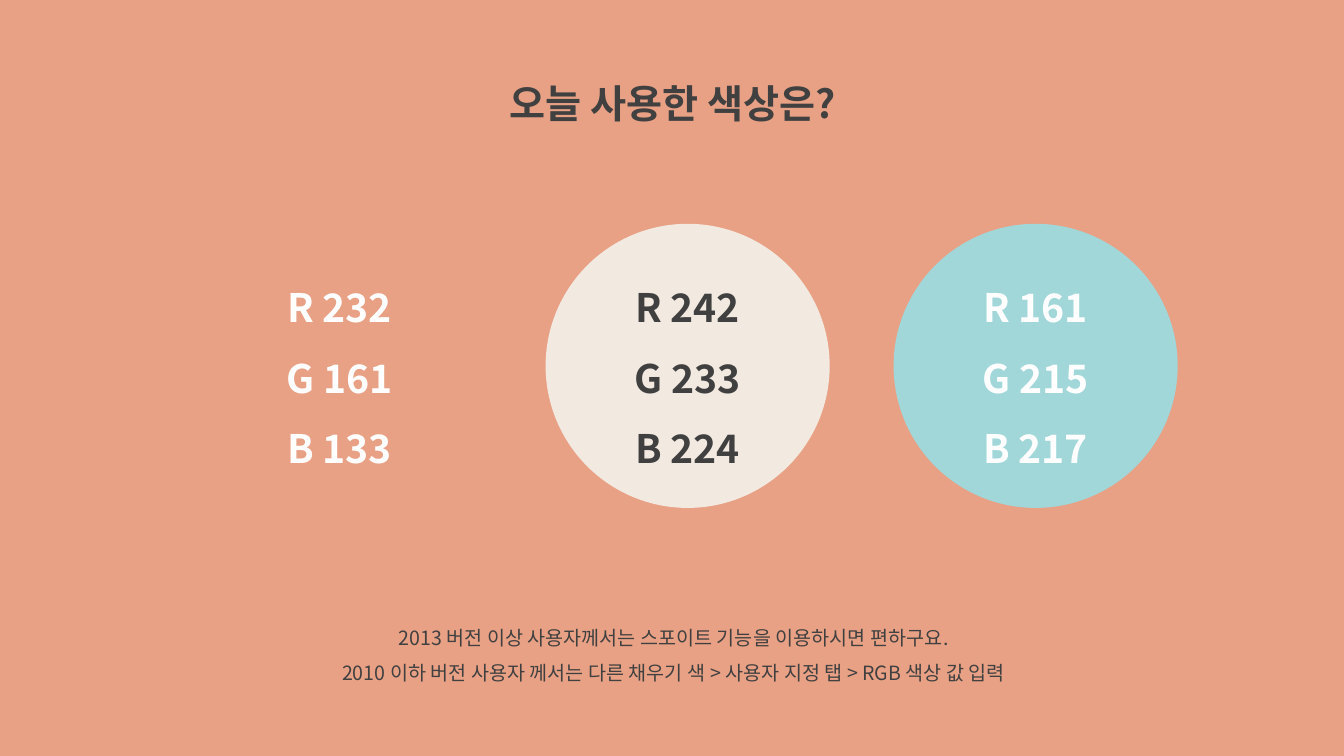
from lxml import etree
from pptx import Presentation
from pptx.dml.color import RGBColor
from pptx.enum.shapes import MSO_SHAPE
from pptx.enum.text import MSO_ANCHOR, MSO_AUTO_SIZE, PP_ALIGN
from pptx.oxml.ns import qn
from pptx.util import Cm, Pt

FONT = "Noto Sans CJK KR"
COLORS = {
    "coral": "E8A185",
    "cream": "F2E9E0",
    "aqua": "A1D7D9",
    "dark": "404040",
    "white": "FFFFFF",
}
HEADING = {"size": Pt(28), "bold": True}
BODY = {"size": Pt(14), "bold": False}

# Fill and text colour of each swatch, from left to right
SWATCHES = [("coral", "white"), ("cream", "dark"), ("aqua", "white")]
DIAMETER, FIRST_LEFT, SWATCH_TOP, PITCH = 7.16, 4.98, 5.64, 8.77

NOTES = [
    "2013 버전 이상 사용자께서는 스포이트 기능을 이용하시면 편하구요.",
    "2010 이하 버전 사용자 께서는 다른 채우기 색 > 사용자 지정 탭 > RGB 색상 값 입력",
]


def color(name):
    return RGBColor.from_string(COLORS[name])


def write_lines(shape, lines, text_color, font_format, anchor=MSO_ANCHOR.TOP):
    """Fill a shape with centred paragraphs at one and a half line spacing."""
    frame = shape.text_frame
    frame.word_wrap = True
    frame.auto_size = MSO_AUTO_SIZE.NONE
    frame.vertical_anchor = anchor
    frame.text = "\n".join(lines)
    for paragraph in frame.paragraphs:
        paragraph.alignment = PP_ALIGN.CENTER
        paragraph.line_spacing = 1.5
        for run in paragraph.runs:
            for attribute, value in {"name": FONT, **font_format}.items():
                setattr(run.font, attribute, value)
            run.font.color.rgb = color(text_color)
            # Hangul takes the East Asian typeface
            east_asian = etree.SubElement(run._r.get_or_add_rPr(), qn("a:ea"))
            east_asian.set("typeface", FONT)


def add_title(slide, text):
    title = slide.shapes.title
    box = {"left": 11.07, "top": 1.27, "width": 11.76, "height": 1.83}
    for attribute, value in box.items():
        setattr(title, attribute, Cm(value))
    write_lines(title, [text], "dark", HEADING)


def add_notes_text(slide, lines):
    box = slide.shapes.add_textbox(Cm(6.83), Cm(15.34), Cm(20.29), Cm(2.06))
    write_lines(box, lines, "dark", BODY)


def add_swatch(slide, left, fill, text_color):
    """Draw a colour circle labelled with its own RGB values."""
    circle = slide.shapes.add_shape(
        MSO_SHAPE.OVAL, Cm(left), Cm(SWATCH_TOP), Cm(DIAMETER), Cm(DIAMETER))
    circle.shadow.inherit = False
    circle.fill.solid()
    circle.fill.fore_color.rgb = color(fill)
    circle.line.fill.background()
    labels = [f"{channel} {value}" for channel, value in zip("RGB", color(fill))]
    write_lines(circle, labels, text_color, HEADING, MSO_ANCHOR.MIDDLE)


def main():
    presentation = Presentation()
    presentation.slide_width = Cm(33.87)
    presentation.slide_height = Cm(19.05)

    # Title-only slide on a coral background
    slide = presentation.slides.add_slide(presentation.slide_layouts[5])
    slide.background.fill.solid()
    slide.background.fill.fore_color.rgb = color("coral")

    add_title(slide, "오늘 사용한 색상은?")
    add_notes_text(slide, NOTES)

    # Row of swatches
    for index, (fill, text_color) in enumerate(SWATCHES):
        add_swatch(slide, FIRST_LEFT + index * PITCH, fill, text_color)

    presentation.save("out.pptx")


if __name__ == "__main__":
    main()
